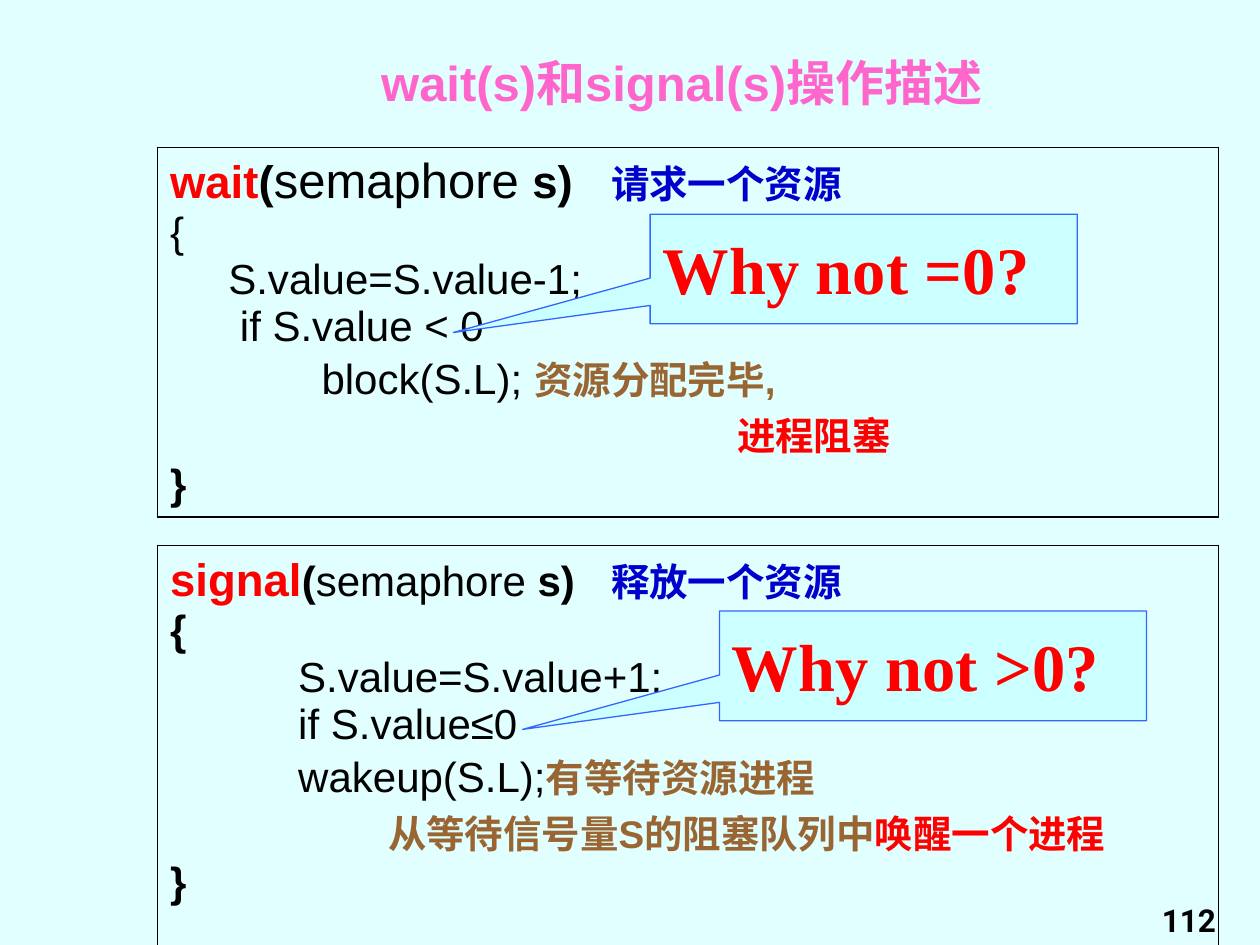
from pptx import Presentation
from pptx.dml.color import RGBColor
from pptx.enum.shapes import MSO_SHAPE as Shape
from pptx.enum.text import MSO_ANCHOR as Anchor, PP_ALIGN as Align
from pptx.oxml.ns import qn
from pptx.util import Inches, Pt
from lxml.etree import SubElement

BLACK, RED, BLUE, BROWN, PINK = "000000", "FF0000", "0000CC", "996633", "FF66CC"

WAIT_LINES = [
    ([("wait", 26, RED, True), ("(", 26, BLACK, True), ("semaphore ", 28, BLACK, False),
      ("s)", 26, BLACK, True), ("\t请求一个资源", 22, BLUE, True)], 0, 4.02),
    ([("{", 24, BLACK, False)], 0, None),
    ([("     S.value=S.value-1;", 24, BLACK, False)], 0, None),
    ([("      if S.value < 0", 24, BLACK, False)], 0, None),
    ([("             block(S.L); ", 24, BLACK, False), ("资源分配完毕,", 22, BROWN, True)], 0, None),
    ([("进程阻塞", 22, RED, True)], 4.5, None),
    ([("}", 24, BLACK, True)], 0, None),
]
SIGNAL_LINES = [
    ([("signal", 26, RED, True), ("(", 24, BLACK, True), ("semaphore ", 24, BLACK, False),
      ("s)", 24, BLACK, True), ("\t释放一个资源", 22, BLUE, True)], 0, 3.84),
    ([("{", 24, BLACK, True)], 0, None),
    ([("           S.value=S.value+1;", 24, BLACK, False)], 0, None),
    ([("           if S.value≤0", 24, BLACK, False)], 0, None),
    ([("           wakeup(S.L);", 24, BLACK, False), ("有等待资源进程", 22, BROWN, True)], 0, None),
    ([("从等待信号量S的阻塞队列中", 22, BROWN, True), ("唤醒一个进程", 22, RED, True)], 1.73, None),
    ([("}", 24, BLACK, True)], 0, None),
]


def color(hex_code):
    """Turn a hex string into a colour."""
    return RGBColor.from_string(hex_code)


def style(run, size, hex_code, bold=True, face="Arial"):
    """Format one run."""
    run.font.size = Pt(size)
    run.font.name = face
    run.font.bold = bold
    run.font.color.rgb = color(hex_code)


def indent(paragraph, left, tab=None):
    """Set the left margin and an optional tab stop in inches."""
    props = paragraph._p.get_or_add_pPr()
    props.set("marL", str(Inches(left)))
    props.set("indent", "0")
    if tab:
        stops = SubElement(props, qn("a:tabLst"))
        SubElement(stops, qn("a:tab"), pos=str(Inches(tab)), algn="l")


def add_label(slide, box, text, size, hex_code, face, align):
    """Add a one-line text box and return its frame."""
    frame = slide.shapes.add_textbox(*map(Inches, box)).text_frame
    frame.word_wrap = True
    frame.text = text
    frame.paragraphs[0].alignment = align
    style(frame.paragraphs[0].runs[0], size, hex_code, face=face)
    return frame


def add_border(cell):
    """Draw a thin black line on all sides of a cell."""
    props = cell._tc.get_or_add_tcPr()
    for position, side in enumerate(("lnL", "lnR", "lnT", "lnB")):
        line = SubElement(props, qn(f"a:{side}"), w=str(Pt(1.08)))
        fill = SubElement(line, qn("a:solidFill"))
        SubElement(fill, qn("a:srgbClr"), val=BLACK)
        props.insert(position, line)


def add_listing(slide, top, height, lines):
    """Add a framed one-cell table holding a procedure."""
    table = slide.shapes.add_table(1, 1, Inches(1.25), Inches(top), Inches(8.42), Inches(height)).table
    table.first_row = table.horz_banding = False
    cell = table.cell(0, 0)
    cell.fill.background()
    add_border(cell)
    frame = cell.text_frame
    for number, (parts, left, tab) in enumerate(lines):
        paragraph = frame.add_paragraph() if number else frame.paragraphs[0]
        indent(paragraph, left, tab)
        for text, size, hex_code, bold in parts:
            run = paragraph.add_run()
            run.text = text
            style(run, size, hex_code, bold)


def add_question(slide, left, top, text):
    """Add a callout that points back at a condition."""
    callout = slide.shapes.add_shape(
        Shape.RECTANGULAR_CALLOUT, Inches(left), Inches(top), Inches(3.39), Inches(0.87))
    callout.adjustments[0], callout.adjustments[1] = -0.961, 0.58
    callout.shadow.inherit = False
    callout.fill.solid()
    callout.fill.fore_color.rgb = color("CCFFFF")
    callout.line.color.rgb = color("3366FF")
    callout.line.width = Pt(0.75)
    frame = callout.text_frame
    frame.vertical_anchor = Anchor.TOP
    frame.text = text
    question = frame.paragraphs[0]
    question.alignment = Align.LEFT
    question.line_spacing = 1.1
    style(question.runs[0], 38, RED, face="Times New Roman")


def main():
    """Build the slide and save it."""
    deck = Presentation()
    deck.slide_width, deck.slide_height = Inches(10), Inches(7.5)
    slide = deck.slides.add_slide(deck.slide_layouts[6])
    slide.background.fill.solid()
    slide.background.fill.fore_color.rgb = color("E1FFFF")

    page = add_label(slide, (8.75, 7, 1, 0.5), "112", 18, BLACK, "Roboto", Align.RIGHT)
    page.vertical_anchor = Anchor.BOTTOM
    title = add_label(slide, (1.25, 0.42, 8, 0.47), "wait(s)和signal(s)操作描述",
                      28, PINK, "Arial", Align.CENTER)
    title.margin_top = title.margin_bottom = 0
    indent(title.paragraphs[0], 0.32)

    add_listing(slide, 1.17, 2.93, WAIT_LINES)
    add_listing(slide, 4.33, 3.27, SIGNAL_LINES)
    add_question(slide, 5.16, 1.7, "Why not =0?")
    add_question(slide, 5.71, 4.85, "Why not >0?")
    deck.save("out.pptx")


if __name__ == "__main__":
    main()
